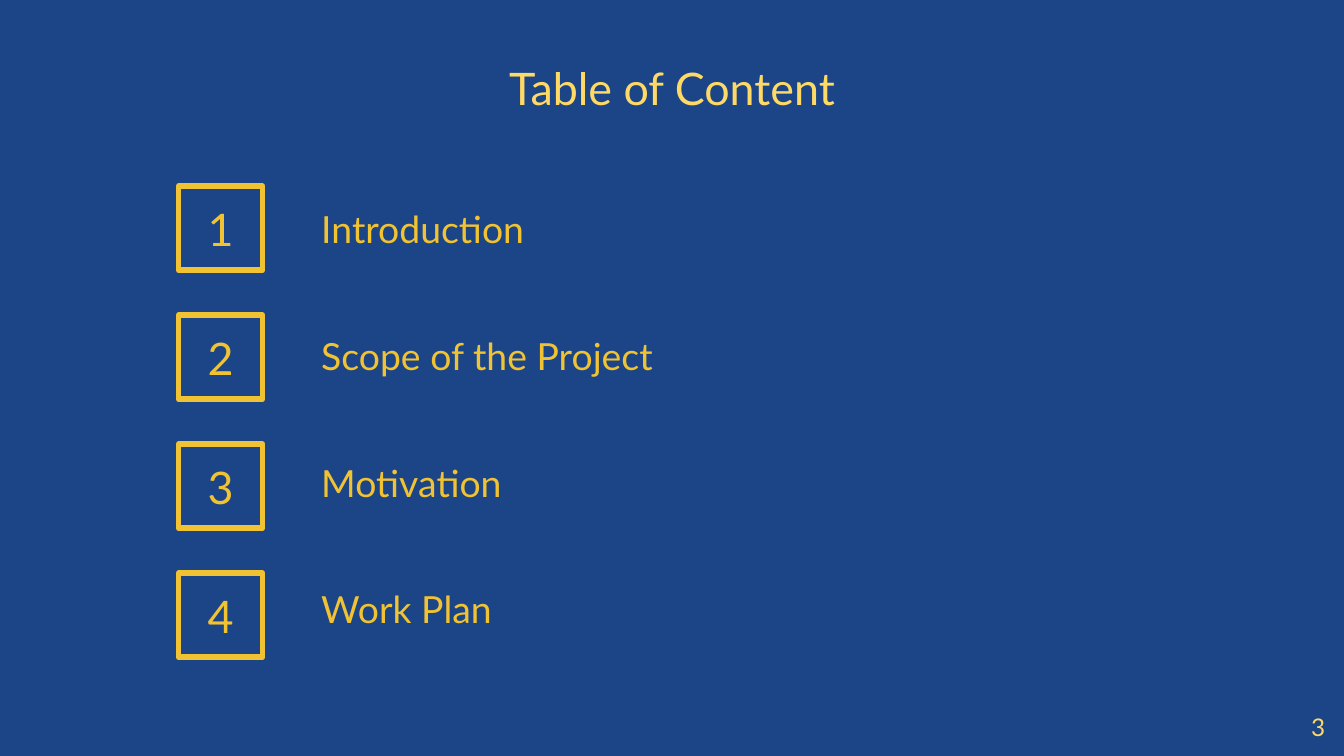
"""Build a table of contents slide with numbered boxes."""
import dataclasses
import typing

import lxml.etree
import pptx
import pptx.dml.color
import pptx.enum.shapes
import pptx.enum.text
import pptx.oxml.ns
import pptx.util

Pt = pptx.util.Pt
Align = pptx.enum.text.PP_ALIGN
Anchor = pptx.enum.text.MSO_ANCHOR


@dataclasses.dataclass(frozen=True)
class Theme:
    font: str = "Lato"
    back: str = "1C4587"
    gold: str = "F1C232"
    pale: str = "FFD966"
    head: float = 24
    body: float = 20
    foot: float = 13


@dataclasses.dataclass(frozen=True)
class Box:
    left: float
    top: float
    width: float
    height: float


@dataclasses.dataclass(frozen=True)
class Column:
    first: Box
    pitch: float
    texts: tuple[str, ...]
    line: str
    size: float
    align: Align


THEME = Theme()
TOPICS = ("Introduction", "Scope of the Project", "Motivation", "Work Plan")
NUMBERS = tuple(str(n) for n in range(1, len(TOPICS) + 1))
COLUMNS = (
    Column(Box(95.7, 99.8, 45, 45), 69.12, NUMBERS, THEME.gold, THEME.head, Align.CENTER),
    Column(Box(165, 99.8, 371, 45), 68, TOPICS, THEME.back, THEME.body, Align.LEFT),
)


def color(code: str) -> pptx.dml.color.RGBColor:
    return pptx.dml.color.RGBColor.from_string(code)


def place(box: Box) -> tuple[pptx.util.Length, ...]:
    return tuple(Pt(n) for n in dataclasses.astuple(box))


def write(shape: typing.Any, text: str, *, size: float, ink: str,
          align: Align, anchor: Anchor = Anchor.MIDDLE, pad: float = 7.2) -> None:
    frame = shape.text_frame
    frame.word_wrap = True
    frame.auto_size = pptx.enum.text.MSO_AUTO_SIZE.NONE
    frame.vertical_anchor = anchor
    frame.margin_left = frame.margin_right = Pt(7.2)
    frame.margin_top = frame.margin_bottom = Pt(pad)
    para = frame.paragraphs[0]
    para.alignment = align
    run = para.add_run()
    run.text = text
    run.font.name = THEME.font
    run.font.size = Pt(size)
    run.font.color.rgb = color(ink)


def draw(slide: typing.Any, col: Column) -> None:
    for row, text in enumerate(col.texts):
        box = dataclasses.replace(col.first, top=col.first.top + row * col.pitch)
        shape = slide.shapes.add_shape(
            pptx.enum.shapes.MSO_SHAPE.RECTANGLE, *place(box))
        shape.shadow.inherit = False
        shape.fill.solid()
        shape.fill.fore_color.rgb = color(THEME.back)
        shape.line.color.rgb = color(col.line)
        shape.line.width = Pt(3)
        edge = shape.element.spPr.find(pptx.oxml.ns.qn("a:ln"))
        lxml.etree.SubElement(edge, pptx.oxml.ns.qn("a:round"))
        write(shape, text, size=col.size, ink=THEME.gold, align=col.align, pad=3.6)


def main() -> None:
    deck = pptx.Presentation()
    deck.slide_width, deck.slide_height = Pt(720), Pt(405)
    slide = deck.slides.add_slide(deck.slide_layouts.get_by_name("Title Only"))
    slide.background.fill.solid()
    slide.background.fill.fore_color.rgb = color(THEME.back)
    title = slide.shapes.title
    title.left, title.top, title.width, title.height = place(Box(24.5, 23, 671, 45.4))
    write(title, "Table of Content", size=THEME.head, ink=THEME.pale,
          align=Align.CENTER, anchor=Anchor.BOTTOM)
    for col in COLUMNS:
        draw(slide, col)
    page = slide.shapes.add_textbox(*place(Box(674, 373.7, 43, 31)))
    write(page, "3", size=THEME.foot, ink=THEME.pale, align=Align.RIGHT)
    deck.save("out.pptx")


if __name__ == "__main__":
    main()
